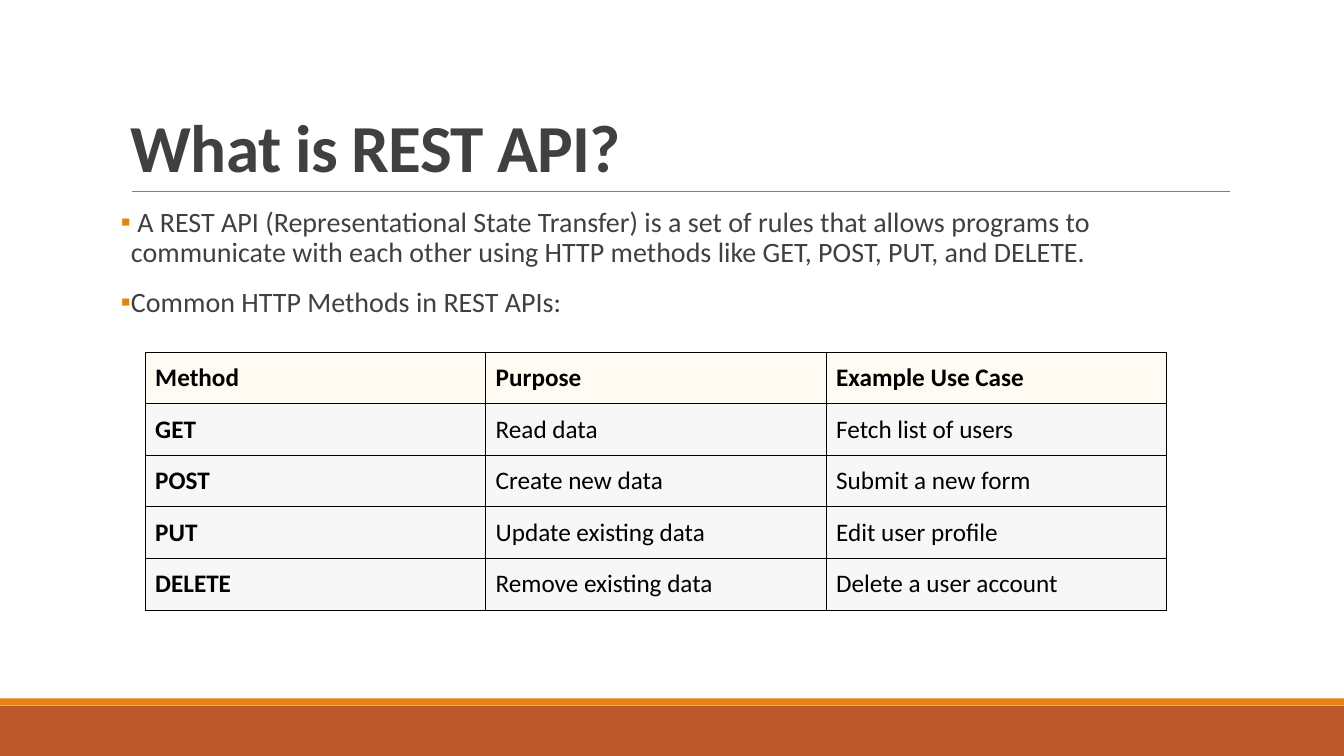
from pptx import Presentation
from pptx.dml.color import RGBColor
from pptx.enum.shapes import MSO_CONNECTOR, MSO_SHAPE
from pptx.enum.text import MSO_ANCHOR
from pptx.oxml.ns import qn
from pptx.util import Pt
from lxml.etree import SubElement

WHITE = RGBColor(0xFF, 0xFF, 0xFF)
BLACK = RGBColor(0x00, 0x00, 0x00)
DARK = RGBColor(0x40, 0x40, 0x40)
GRAY = RGBColor(0x80, 0x80, 0x80)
RUST = RGBColor(0xBD, 0x58, 0x2C)
AMBER = RGBColor(0xE4, 0x83, 0x12)
CREAM = RGBColor(0xFF, 0xFA, 0xF2)
PALE = RGBColor(0xF7, 0xF7, 0xF7)

FACE = "Calibri"
WIDTH, HEIGHT = 960, 540
TITLE = "What is REST API?"
POINTS = [
    " A REST API (Representational State Transfer) is a set of rules that allows "
    "programs to communicate with each other using HTTP methods like GET, POST, "
    "PUT, and DELETE.",
    "Common HTTP Methods in REST APIs:",
]
ROWS = [
    ("Method", "Purpose", "Example Use Case"),
    ("GET", "Read data", "Fetch list of users"),
    ("POST", "Create new data", "Submit a new form"),
    ("PUT", "Update existing data", "Edit user profile"),
    ("DELETE", "Remove existing data", "Delete a user account"),
]


def style(par, size, color, bold=False):
    font = par.font
    font.name = FACE
    font.size = Pt(size)
    font.bold = bold
    font.color.rgb = color


def add_band(slide, top, height, color):
    band = slide.shapes.add_shape(
        MSO_SHAPE.RECTANGLE, 0, Pt(top), Pt(WIDTH), Pt(height))
    band.shadow.inherit = False
    band.fill.solid()
    band.fill.fore_color.rgb = color
    band.line.fill.background()


def add_rule(slide, left, right, top):
    rule = slide.shapes.add_connector(
        MSO_CONNECTOR.STRAIGHT, Pt(left), Pt(top), Pt(right), Pt(top))
    rule.line.color.rgb = GRAY
    rule.line.width = Pt(0.5)
    SubElement(rule._element.spPr, qn("a:effectLst"))


def add_box(slide, top, height, side, anchor):
    box = slide.shapes.add_textbox(Pt(86.4), Pt(top), Pt(792), Pt(height))
    frame = box.text_frame
    frame.word_wrap = True
    frame.vertical_anchor = anchor
    frame.margin_left = frame.margin_right = Pt(side)
    frame.margin_top = frame.margin_bottom = Pt(3.6)
    return frame


def add_title(slide):
    par = add_box(slide, 22.5, 114.3, 7.2, MSO_ANCHOR.BOTTOM).paragraphs[0]
    par.text = TITLE
    par.line_spacing = 0.85
    style(par, 48, DARK, True)
    par._p.pPr.find(qn("a:defRPr")).set("spc", "-50")


def set_bullet(par):
    props = par._p.get_or_add_pPr()
    props.set("marL", str(Pt(7.2)))
    props.set("indent", str(-Pt(7.2)))
    tint = SubElement(props, qn("a:buClr"))
    SubElement(tint, qn("a:srgbClr"), val=str(AMBER))
    SubElement(props, qn("a:buFont"), typeface=FACE)
    SubElement(props, qn("a:buChar"), char="▪")


def add_points(slide):
    frame = add_box(slide, 145.4, 316.8, 0, MSO_ANCHOR.TOP)
    for index, text in enumerate(POINTS):
        par = frame.add_paragraph() if index else frame.paragraphs[0]
        par.text = text
        set_bullet(par)
        par.line_spacing = 0.9
        par.space_before = Pt(12)
        par.space_after = Pt(2)
        style(par, 20, DARK)


def set_edges(cell):
    props = cell._tc.get_or_add_tcPr()
    for side in ("lnL", "lnR", "lnT", "lnB"):
        edge = SubElement(props, qn(f"a:{side}"), w=str(Pt(0.75)))
        fill = SubElement(edge, qn("a:solidFill"))
        SubElement(fill, qn("a:srgbClr"), val=str(BLACK))


def fill_cell(cell, text, color, bold):
    set_edges(cell)
    cell.fill.solid()
    cell.fill.fore_color.rgb = color
    cell.vertical_anchor = MSO_ANCHOR.MIDDLE
    cell.margin_left = cell.margin_right = Pt(7.2)
    cell.margin_top = cell.margin_bottom = Pt(7.2)
    par = cell.text_frame.paragraphs[0]
    par.text = text
    style(par, 18, BLACK, bold)


def add_grid(slide):
    high, wide = 36.9, 243.2
    table = slide.shapes.add_table(
        len(ROWS), len(ROWS[0]), Pt(103.7), Pt(251.4),
        Pt(wide * len(ROWS[0])), Pt(high * len(ROWS))).table
    for r, row in enumerate(ROWS):
        for c, text in enumerate(row):
            color = PALE if r else CREAM
            fill_cell(table.cell(r, c), text, color, r == 0 or c == 0)


def main():
    deck = Presentation()
    deck.slide_width, deck.slide_height = Pt(WIDTH), Pt(HEIGHT)
    slide = deck.slides.add_slide(deck.slide_layouts[6])
    slide.background.fill.solid()
    slide.background.fill.fore_color.rgb = WHITE
    add_band(slide, 504, 36, RUST)
    add_band(slide, 498.8, 5.04, AMBER)
    add_rule(slide, 94.3, 878.8, 136.8)
    add_title(slide)
    add_points(slide)
    add_grid(slide)
    deck.save("out.pptx")


if __name__ == "__main__":
    main()
